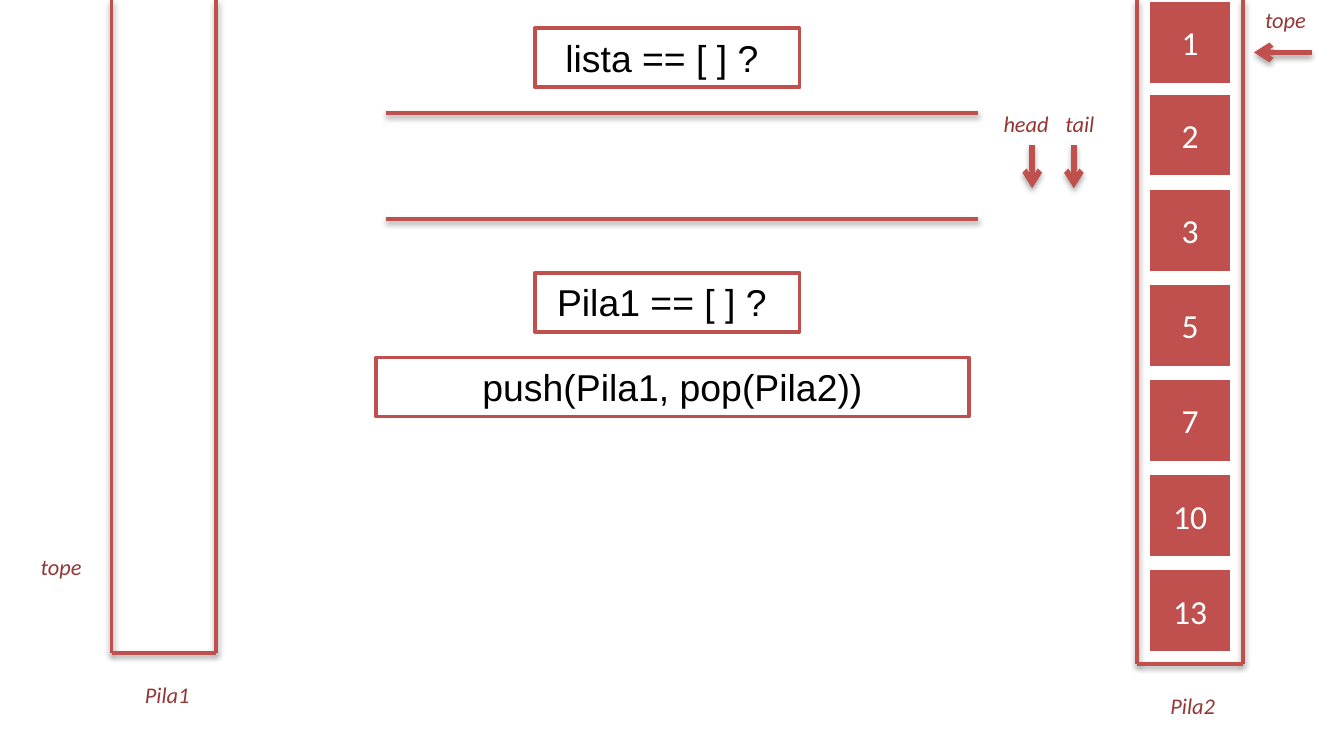
from lxml import etree
from pptx import Presentation
from pptx.dml.color import RGBColor
from pptx.enum.shapes import MSO_CONNECTOR, MSO_SHAPE
from pptx.enum.text import MSO_ANCHOR, MSO_AUTO_SIZE, PP_ALIGN
from pptx.oxml import parse_xml
from pptx.oxml.ns import nsdecls, qn
from pptx.util import Inches, Pt

RED = RGBColor(0xC0, 0x50, 0x4D)
WINE = RGBColor(0x95, 0x37, 0x35)
WHITE = RGBColor(0xFF, 0xFF, 0xFF)
BLACK = RGBColor(0, 0, 0)
RECT, LINE = MSO_SHAPE.RECTANGLE, MSO_CONNECTOR.STRAIGHT
TOP, MIDDLE = MSO_ANCHOR.TOP, MSO_ANCHOR.MIDDLE
GROW, FIXED = MSO_AUTO_SIZE.SHAPE_TO_FIT_TEXT, MSO_AUTO_SIZE.NONE
CENTER = PP_ALIGN.CENTER

# Content: stacks are left, right, bottom
STACKS = [(0.83, 1.61, 4.86), (8.46, 9.25, 4.94)]
ITEMS = ["1", "2", "3", "5", "7", "10", "13"]
RAILS = [0.84, 1.63]
STEPS = [  # text, left, top, width
    ("lista == [ ] ? ", 3.98, 0.21, 1.97),
    ("Pila1 == [ ] ? ", 3.98, 2.03, 1.97),
    ("push(Pila1, pop(Pila2))", 2.8, 2.66, 4.41),
]
LABELS = [  # text, left, top, width
    ("Pila1", 0.91, 5.02, 0.67),
    ("Pila2", 8.54, 5.1, 0.67),
    ("tope", 0.12, 4.07, 0.67),
    ("tope", 9.25, 0, 0.63),
    ("head", 7.36, 0.77, 0.55),
    ("tail", 7.76, 0.77, 0.55),
]
ARROWS = [  # from x, y, to x, y
    (9.76, 0.39, 9.33, 0.39),
    (7.68, 1.08, 7.68, 1.4),
    (7.99, 1.08, 7.99, 1.4),
]

# Formats
CELL_FONT = {"name": "Calibri", "size": Pt(18)}
STEP_FONT = {"name": "Arial", "size": Pt(20)}
LABEL_FONT = {"name": "Calibri", "size": Pt(12), "italic": True}
CELL, CELL_X = 0.63, 8.54
SECOND_Y, LAST_Y = 0.69, 4.23
STEP_H, LABEL_H = 0.44, 0.3
RAIL_X = (2.87, 7.28)

deck = Presentation()
deck.slide_width = Inches(10)
deck.slide_height = Inches(10 * 9 / 16)
slide = deck.slides.add_slide(deck.slide_layouts[6])
shapes = slide.shapes


def write(shape, text, font, color, anchor=TOP, size=GROW):
    frame = shape.text_frame
    frame.word_wrap = True
    frame.auto_size = size
    frame.vertical_anchor = anchor
    para = frame.paragraphs[0]
    para.alignment = CENTER
    run = para.add_run()
    run.text = text
    for key, value in font.items():
        setattr(run.font, key, value)
    run.font.color.rgb = color


def box(x, y, w, h, fill, edge):
    shape = shapes.add_shape(RECT, *map(Inches, (x, y, w, h)))
    shape.shadow.inherit = False
    shape.fill.solid()
    shape.fill.fore_color.rgb = fill
    shape.line.color.rgb = edge
    shape.line.width = Pt(2)
    return shape


def stroke(x1, y1, x2, y2, arrow=False):
    line = shapes.add_connector(LINE, *map(Inches, (x1, y1, x2, y2)))
    line.line.color.rgb = RED
    line.line.width = Pt(3 if arrow else 2)
    props = line._element.spPr
    if arrow:
        etree.SubElement(props.find(qn("a:ln")), qn("a:tailEnd"), type="arrow")
    dist, alpha = (Pt(1.8), 35000) if arrow else (Pt(1.6), 38000)
    props.append(parse_xml(
        f'<a:effectLst {nsdecls("a")}>'
        f'<a:outerShdw blurRad="{Pt(3.1)}" dist="{dist}" dir="5400000" rotWithShape="0">'
        f'<a:srgbClr val="{BLACK}"><a:alpha val="{alpha}"/></a:srgbClr>'
        '</a:outerShdw></a:effectLst>'))


# Stack walls and floors
for left, right, floor in STACKS:
    stroke(left, 0, left, floor)
    stroke(right, 0, right, floor)
    stroke(left, floor, right, floor)

# Stacked items, the first one held at the slide's top edge
pitch = (LAST_Y - SECOND_Y) / (len(ITEMS) - 2)
for i, item in enumerate(ITEMS):
    y = max(0, SECOND_Y + (i - 1) * pitch)
    cell = box(CELL_X, y, CELL, CELL, RED, WHITE)
    write(cell, item, CELL_FONT, WHITE, MIDDLE, FIXED)

# List rails
for y in RAILS:
    stroke(RAIL_X[0], y, RAIL_X[1], y)

# Step boxes
for text, x, y, w in STEPS:
    write(box(x, y, w, STEP_H, WHITE, RED), text, STEP_FONT, BLACK)

# Labels and pointers
for text, x, y, w in LABELS:
    label = shapes.add_textbox(*map(Inches, (x, y, w, LABEL_H)))
    write(label, text, LABEL_FONT, WINE)
for ends in ARROWS:
    stroke(*ends, arrow=True)

deck.save("out.pptx")
